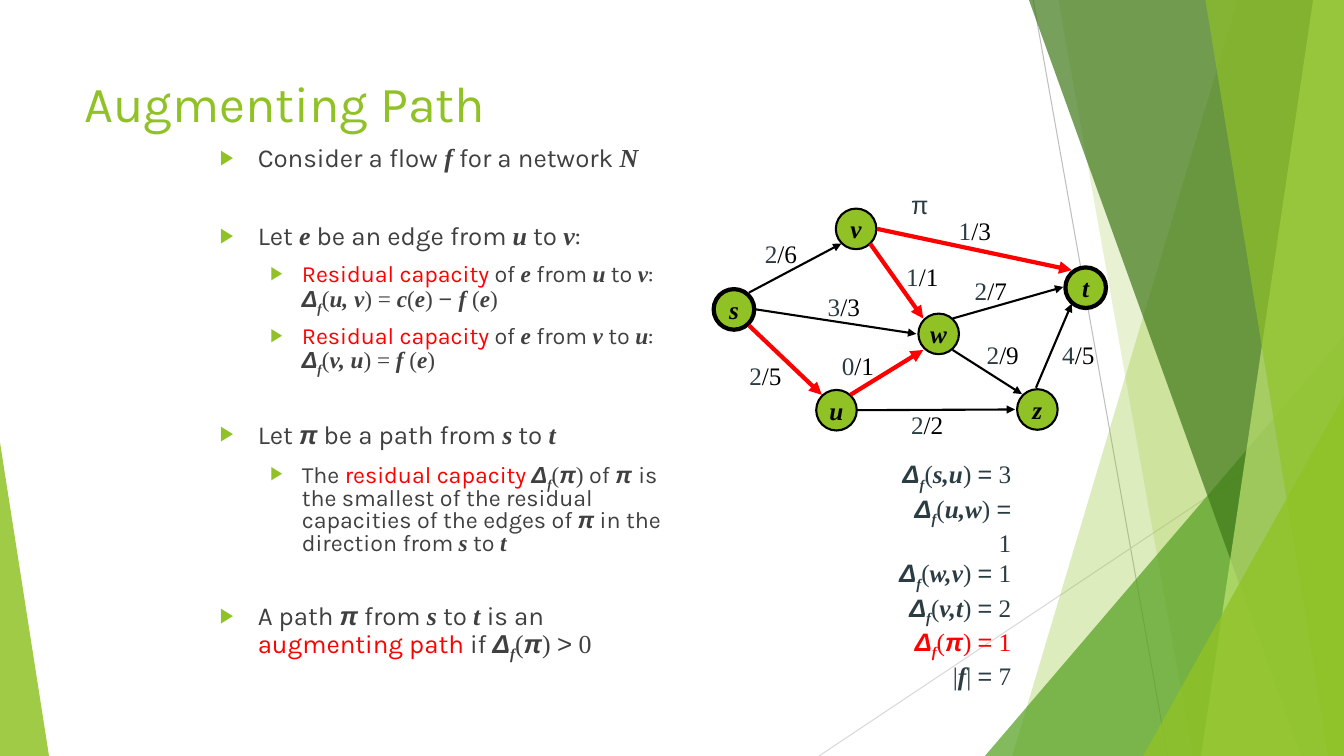
"""Build the slide on augmenting paths in a flow network."""
from dataclasses import dataclass

from lxml.etree import SubElement
from pptx import Presentation
from pptx.dml.color import RGBColor
from pptx.enum.shapes import MSO_CONNECTOR, MSO_SHAPE
from pptx.enum.text import MSO_ANCHOR, PP_ALIGN
from pptx.oxml.ns import qn
from pptx.util import Pt


@dataclass(frozen=True)
class Theme:
    lime: str = "90C226"
    leaf: str = "54A021"
    moss: str = "3F7819"
    pale: str = "C0E474"
    red: str = "FF0000"
    black: str = "000000"
    body: str = "404040"
    slate: str = "2C3C43"
    sans: str = "Karla"
    serif: str = "Times New Roman"
    plain: str = "Arial"
    head: float = 36
    text: float = 18.5
    sub: float = 16.6
    graph: float = 18


@dataclass(frozen=True)
class Ray:
    ends: tuple
    color: str


@dataclass(frozen=True)
class Band:
    top: float
    foot: float
    color: str
    alpha: int


@dataclass(frozen=True)
class Corner:
    box: tuple
    apex: float
    color: str
    alpha: int


@dataclass(frozen=True)
class Node:
    name: str
    left: float
    top: float
    width: float = 1.5


@dataclass(frozen=True)
class Edge:
    flow: str
    cap: str
    spot: tuple
    ends: tuple
    hot: bool = False


@dataclass(frozen=True)
class Point:
    text: str
    before: float = 10
    level: int = 0


T = Theme()
WIDE, HIGH = 960, 540
MODES = {
    "#": dict(name=T.sans),
    "!": dict(name=T.sans),
    "*": dict(name=T.serif, bold=True, italic=True),
    "_": dict(name=T.serif, bold=True, italic=True),
    "$": dict(name=T.serif),
    "@": dict(name=T.plain),
    "%": dict(name=T.plain, bold=True, italic=True),
}
DELTA = "%Δ_f$("
RAYS = [Ray((738, 0, 834, 540), "BFBFBF"), Ray((960, 290, 585, 540), "D9D9D9")]
FACETS = [
    Band(884, 723, T.lime, 30),
    Band(756, 852, T.lime, 20),
    Corner((703.5, 240, 256.5, 300), 1, T.leaf, 72),
    Band(735, 929.5, T.moss, 70),
    Band(938, 858, T.pale, 70),
    Band(861, 949, T.lime, 65),
    Corner((816.5, 283, 143.5, 257), 1, T.lime, 80),
    Corner((0, 316, 35, 224), 0, T.lime, 85),
]
POINTS = [
    Point("#Consider a flow *f# for a network *N", 0),
    Point("#Let *e# be an edge from *u# to *v#:", 38),
    Point(f"!Residual capacity #of *e# from *u# to *v#: {DELTA}*u, v$) = *c$(*e$) @− *f$ (*e$)", level=1),
    Point(f"!Residual capacity #of *e# from *v# to *u#: {DELTA}*v, u$) = *f$ (*e$)", level=1),
    Point("#Let %π# be a path from *s# to *t", 36),
    Point(f"#The !residual capacity {DELTA}%π$)# of %π #is the smallest of the residual "
          "capacities of the edges of %π# in the direction from *s# to *t", level=1),
    Point(f"#A path %π# from *s# to *t #is an !augmenting path #if {DELTA}%π$) @>$ 0", 36),
]
NODES = [
    Node("w", 656, 224), Node("s", 509.75, 206.5, 3), Node("v", 597, 149),
    Node("u", 583, 278.5), Node("t", 761, 191, 3), Node("z", 726.5, 278),
]
EDGES = [
    Edge("2", "6", (539, 167), (535, 209, 601, 174)),
    Edge("2", "5", (528, 253.5), (535, 232.5, 587, 282), True),
    Edge("1", "1", (640, 183), (621.5, 174, 659.5, 227.5), True),
    Edge("1", "3", (677.5, 150), (626.5, 163.5, 765.5, 193), True),
    Edge("2", "7", (689, 193), (680.5, 227.5, 759.5, 205)),
    Edge("2", "9", (697.5, 239), (680.5, 250, 730, 281.5)),
    Edge("4", "5", (751.5, 239), (740, 277, 765.5, 217)),
    Edge("2", "2", (643.5, 288.5), (612.5, 293, 725, 292.5)),
    Edge("0", "1", (594, 247), (607.5, 282, 659.5, 250), True),
    Edge("3", "3", (584, 204.5), (540, 221, 654.5, 238.5)),
]
SUMS = [("*s,u", "3"), ("*u,w", "1"), ("*w,v", "1"), ("*v,t", "2"), ("%π", "1")]


def rgb(color: str) -> RGBColor:
    return RGBColor.from_string(color)


def add_run(para, text: str, size: float, color: str, **style) -> None:
    run = para.add_run()
    run.text = text
    for key, value in dict(size=Pt(size), bold=False, italic=False, **{}).items():
        setattr(run.font, key, value)
    for key, value in style.items():
        setattr(run.font, key, value)
    run.font.color.rgb = rgb(color)


def write(para, text: str, size: float, color: str) -> None:
    parts = []
    for char in text:
        if char in MODES:
            parts.append([char, ""])
        else:
            parts[-1][1] += char
    for mode, words in parts:
        add_run(para, words, size, T.red if mode == "!" else color, **MODES[mode])
        if mode == "_":
            para.runs[-1].font._element.set("baseline", "-25000")


def add_box(slide, box: tuple, wrap: bool = False):
    frame = slide.shapes.add_textbox(*map(Pt, box)).text_frame
    frame.word_wrap = wrap
    return frame


def add_line(slide, ends: tuple, color: str, width: float, arrow: bool = False) -> None:
    line = slide.shapes.add_connector(MSO_CONNECTOR.STRAIGHT, *map(Pt, ends))
    line.line.color.rgb = rgb(color)
    line.line.width = Pt(width)
    if arrow:
        SubElement(line.line._get_or_add_ln(), qn("a:tailEnd"), type="triangle")
    SubElement(line._element.spPr, qn("a:effectLst"))


def add_facet(slide, facet: Band | Corner) -> None:
    if isinstance(facet, Band):
        pen = slide.shapes.build_freeform(Pt(facet.top), 0)
        pen.add_line_segments([(Pt(x), Pt(y)) for x, y in
                               ((WIDE, 0), (WIDE, HIGH), (facet.foot, HIGH))])
        shape = pen.convert_to_shape()
    else:
        shape = slide.shapes.add_shape(MSO_SHAPE.ISOSCELES_TRIANGLE, *map(Pt, facet.box))
        shape.adjustments[0] = facet.apex
    shape.shadow.inherit = False
    shape.line.fill.background()
    shape.fill.solid()
    shape.fill.fore_color.rgb = rgb(facet.color)
    tint = shape._element.spPr.find(f"{qn('a:solidFill')}/{qn('a:srgbClr')}")
    SubElement(tint, qn("a:alpha"), val=str(facet.alpha * 1000))


def add_point(para, point: Point) -> None:
    para.level = point.level
    para.line_spacing = 0.8
    para.space_before = Pt(point.before)
    left, hang = ((27, 27), (58.5, 22.5))[point.level]
    props = para._p.get_or_add_pPr()
    props.set("marL", str(Pt(left)))
    props.set("indent", str(-Pt(hang)))
    SubElement(SubElement(props, qn("a:buClr")), qn("a:srgbClr"), val=T.lime)
    SubElement(props, qn("a:buSzPct"), val="80000")
    SubElement(props, qn("a:buFont"), typeface=T.plain)
    SubElement(props, qn("a:buChar"), char="▶")
    write(para, point.text, T.sub if point.level else T.text, T.body)


def add_node(slide, node: Node) -> None:
    shape = slide.shapes.add_shape(MSO_SHAPE.OVAL, *map(Pt, (node.left, node.top, 29, 29)))
    shape.shadow.inherit = False
    shape.fill.solid()
    shape.fill.fore_color.rgb = rgb(T.lime)
    shape.line.color.rgb = rgb(T.black)
    shape.line.width = Pt(node.width)
    frame = shape.text_frame
    frame.word_wrap = False
    frame.vertical_anchor = MSO_ANCHOR.MIDDLE
    para = frame.paragraphs[0]
    para.alignment = PP_ALIGN.CENTER
    write(para, "*" + node.name, T.graph, T.black)


def add_label(slide, box: tuple, *parts: tuple) -> None:
    para = add_box(slide, box).paragraphs[0]
    para.alignment = PP_ALIGN.CENTER
    for text, color in parts:
        write(para, text, T.graph, color)


def main() -> None:
    deck = Presentation()
    deck.slide_width, deck.slide_height = Pt(WIDE), Pt(HIGH)
    slide = deck.slides.add_slide(deck.slide_layouts[5])
    for ray in RAYS:
        add_line(slide, ray.ends, ray.color, 0.75)
    for facet in FACETS:
        add_facet(slide, facet)

    title = slide.shapes.title
    for key, value in dict(left=53, top=48, width=677, height=104).items():
        setattr(title, key, Pt(value))
    title.text_frame.vertical_anchor = MSO_ANCHOR.TOP
    para = title.text_frame.paragraphs[0]
    para.alignment = PP_ALIGN.LEFT
    write(para, "#Augmenting Path", T.head, T.lime)

    frame = add_box(slide, (150, 102, 336, 402), True)
    for rank, point in enumerate(POINTS):
        add_point(frame.add_paragraph() if rank else frame.paragraphs[0], point)

    for node in NODES:
        add_node(slide, node)
    for edge in EDGES:
        add_label(slide, (*edge.spot, 37.5, 29), ("$" + edge.flow, T.slate), ("$/" + edge.cap, T.black))
    for edge in EDGES:
        add_line(slide, edge.ends, T.red if edge.hot else T.black, 3 if edge.hot else 1.5, True)
    add_label(slide, (636, 132, 42, 29), ("@π", T.slate))

    frame = add_box(slide, (633, 324, 96.5, 138))
    rows = [(f"{DELTA}{arg}$) @=$ {value}", T.red if arg == "%π" else T.slate) for arg, value in SUMS]
    rows.append(("$|*f$| @=$ 7", T.slate))
    for rank, (text, color) in enumerate(rows):
        para = frame.add_paragraph() if rank else frame.paragraphs[0]
        para.alignment = PP_ALIGN.RIGHT
        write(para, text, T.graph, color)
    deck.save("out.pptx")


if __name__ == "__main__":
    main()
